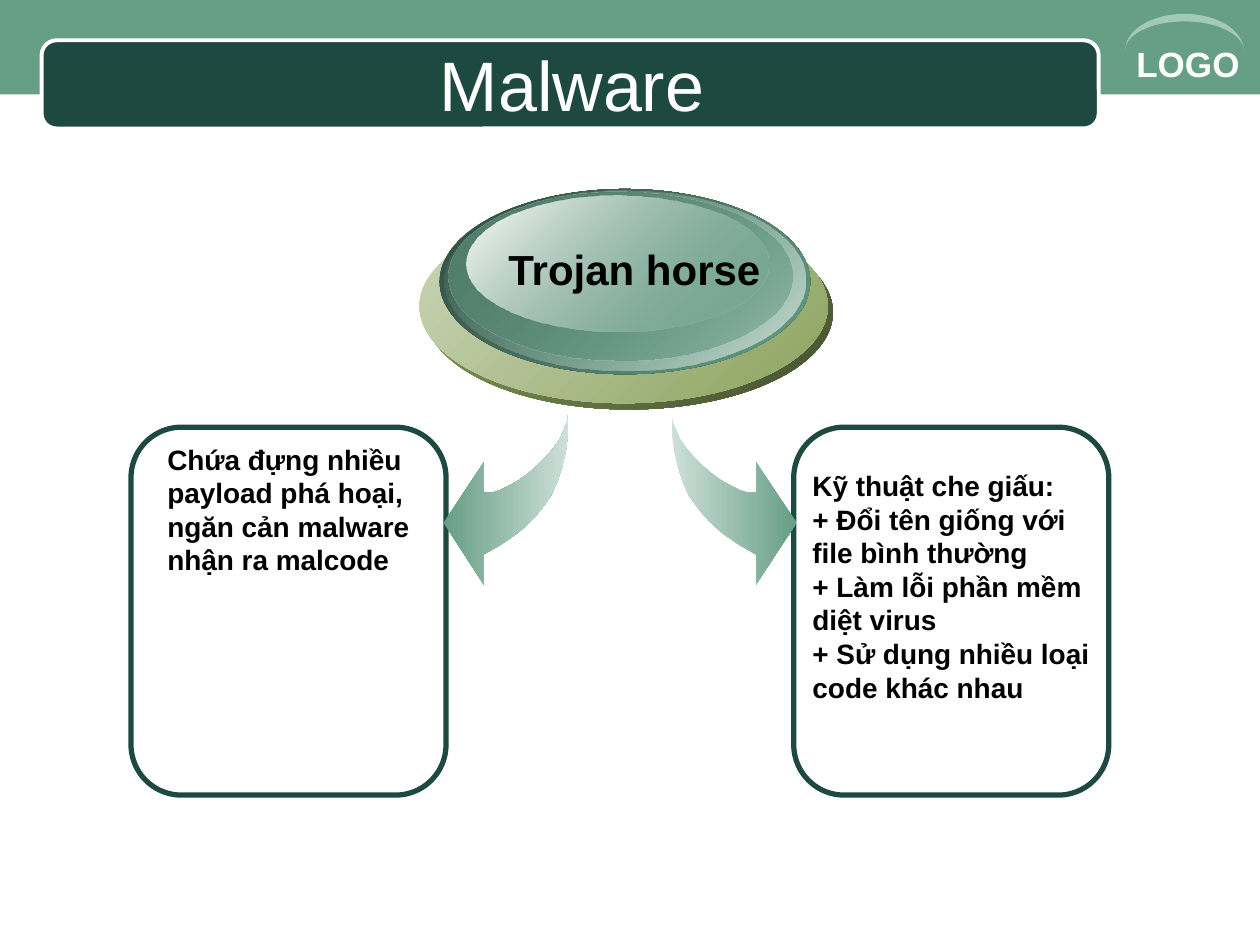
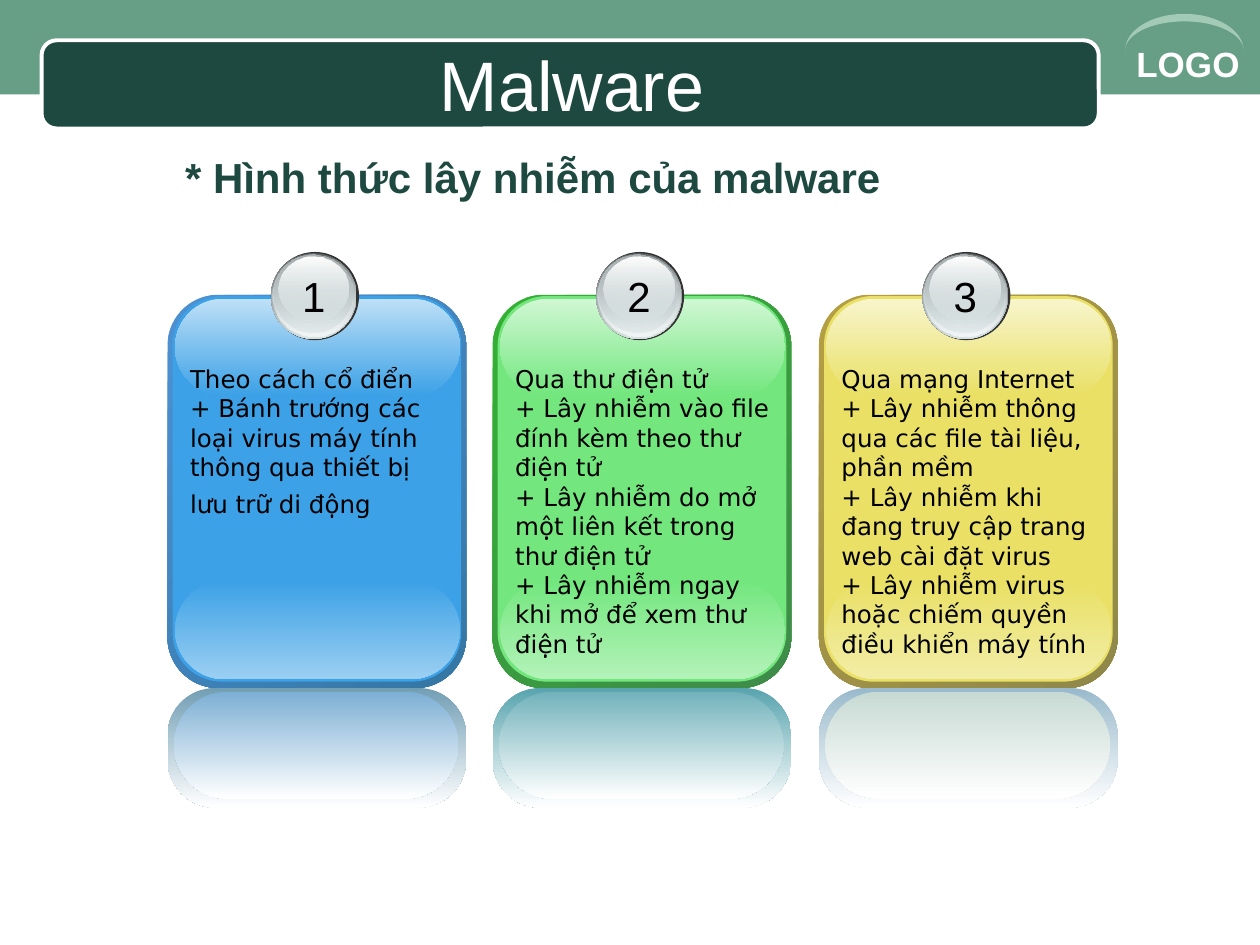
from dataclasses import dataclass
from math import cos, pi, sin

from lxml import etree
from pptx import Presentation
from pptx import util as u
from pptx.dml.color import RGBColor
from pptx.enum import shapes, text
from pptx.oxml import ns

EMU_PER_PX = 9144
RECT = shapes.MSO_SHAPE.RECTANGLE
ROUND = shapes.MSO_SHAPE.ROUNDED_RECTANGLE
OVAL = shapes.MSO_SHAPE.OVAL
LEFT, CENTER = text.PP_ALIGN.LEFT, text.PP_ALIGN.CENTER


@dataclass(frozen=True)
class Theme:
    font: str = "Arial"
    card_font: str = "DejaVu Sans"
    black: str = "000000"
    white: str = "FFFFFF"
    green: str = "669E86"
    dark: str = "1D4940"
    arc: str = "A2CAB4"
    mist: str = "CEE0D9"
    olive: str = "8CA35F"
    silver: str = "D6E1E2"
    rim: str = "333333"
    title: int = 40
    heading: int = 24
    logo: int = 20
    last_line: int = 18
    body: int = 16
    card: int = 14


@dataclass(frozen=True)
class CardColors:
    edge: tuple
    body: str
    bottom: str
    top: str
    reflection: str
    inner_reflection: str


T = Theme()
BLUE = CardColors(("4E91D4", "3477A4"), "3CA1E6", "9BCFF2", "BEE0F7", "729EB4", "7DAFD4")
LIME = CardColors(("34B034", "3F8B4A"), "73E77E", "B3F2B9", "D0F7D4", "58A4AE", "72B2BB")
YELLOW = CardColors(("B59F43", "8F8849"), "E9E065", "F2EDA6", "F8F5CC", "99BACC", "C8DAD4")

TROJAN_DISC = [
    ((337, 171, 324, 154), (T.olive, "444F2E")),
    ((333, 166, 324, 154), ("CCD6B8", T.olive)),
    ((349, 150, 294, 147), ("2F493E", T.green)),
    ((353, 151, 286, 143), ((T.green, 0), "CADDD5")),
    ((356, 152, 273, 134), ("517D6A", (T.green, 48))),
    ((370, 155, 240, 108), (T.white, (T.green, 38))),
]
BALL = [
    ((82, 200, 70, 70), T.rim),
    ((82, 201, 68, 68), ("636869", T.silver)),
    ((83, 201, 66, 66), ((T.silver, 0), "F1F5F5")),
    ((84, 202, 63, 62), ("AAB2B3", (T.silver, 48))),
    ((88, 204, 56, 50), (T.white, (T.silver, 38))),
]
LEFT_ARROW = [
    (451, 328), (451, 343), (449, 358), (446, 371), (442, 383), (437, 394),
    (429, 405), (421, 414), (411, 423), (398, 432), (384, 440), (384, 464),
    (352, 415), (384, 367), (384, 391), (391, 391), (397, 389), (405, 385),
    (412, 381), (419, 376), (426, 370), (433, 363), (439, 356), (444, 349),
    (447, 342), (450, 335),
]
ARROW_MIRROR = 984
CARDS = [
    (BLUE, ["Theo cách cổ điển",
            "+ Bánh trướng các loại virus máy tính thông qua thiết bị lưu trữ di động"]),
    (LIME, ["Qua thư điện tử",
            "+ Lây nhiễm vào file đính kèm theo thư điện tử",
            "+ Lây nhiễm do mở một liên kết trong thư điện tử",
            "+ Lây nhiễm ngay khi mở để xem thư điện tử"]),
    (YELLOW, ["Qua mạng Internet",
              "+ Lây nhiễm thông qua các file tài liệu, phần mềm",
              "+ Lây nhiễm khi đang truy cập trang web cài đặt virus",
              "+ Lây nhiễm virus hoặc chiếm quyền điều khiển máy tính"]),
]


def px(n):
    return u.Emu(round(n * EMU_PER_PX))


def rgb(color):
    return RGBColor.from_string(color)


def paint(sp, fill=None, angle=0, line=None, width=0):
    sp.shadow.inherit = False
    if fill is None:
        sp.fill.background()
    elif isinstance(fill, str):
        sp.fill.solid()
        sp.fill.fore_color.rgb = rgb(fill)
    else:
        sp.fill.gradient()
        sp.fill.gradient_angle = -angle % 360
        stops = [f if isinstance(f, tuple) else (f, 100) for f in fill]
        for stop, (color, _) in zip(sp.fill.gradient_stops, stops):
            stop.color.rgb = rgb(color)
        nodes = sp._element.spPr.iter(ns.qn("a:srgbClr"))
        for node, (_, alpha) in zip(nodes, stops):
            if alpha < 100:
                etree.SubElement(node, ns.qn("a:alpha"), val=str(alpha * 1000))
    if line:
        sp.line.color.rgb = rgb(line)
        sp.line.width = u.Pt(width)
    else:
        sp.line.fill.background()


def add_preset(s, kind, box, fill=None, angle=0, corner=None, line=None, width=0):
    sp = s.shapes.add_shape(kind, *map(px, box))
    if corner is not None:
        sp.adjustments[0] = corner
    paint(sp, fill, angle, line, width)


def add_outline(s, points, fill, angle=0):
    start, *rest = [(px(x), px(y)) for x, y in points]
    builder = s.shapes.build_freeform(*start, scale=1.0)
    builder.add_line_segments(rest, close=True)
    paint(builder.convert_to_shape(), fill, angle)


def add_text(s, box, lines, size, color=T.black, bold=False, font=T.font,
             align=LEFT, wrap=True, anchor=text.MSO_ANCHOR.TOP):
    tf = s.shapes.add_textbox(*map(px, box)).text_frame
    tf.word_wrap = wrap
    tf.vertical_anchor = anchor
    tf.text = "\n".join(lines)
    for p in tf.paragraphs:
        p.alignment = align
        p.font.name = font
        p.font.size = u.Pt(size)
        p.font.bold = bold
        p.font.color.rgb = rgb(color)
    return tf


def add_arc(s):
    steps = [pi * i / 32 for i in range(33)]
    outer = [(940 + 47 * cos(t), 40 - 29 * sin(t)) for t in steps]
    inner = [(940 + 47 * cos(t), 40 - 23 * sin(t)) for t in reversed(steps)]
    add_outline(s, outer + inner[1:-1], T.arc)


def add_slide(prs, title):
    s = prs.slides.add_slide(prs.slide_layouts[6])
    add_preset(s, RECT, (0, 0, 1000, 75), T.green)
    add_preset(s, ROUND, (33, 32, 839, 70), T.dark, corner=0.17, line=T.white, width=2.25)
    add_text(s, (892, 29, 108, 44), ["LOGO"], T.logo, T.white, bold=True)
    add_arc(s)
    add_text(s, (50, 35, 808, 62), [title], T.title, T.white,
             align=CENTER, anchor=text.MSO_ANCHOR.MIDDLE)
    return s


def add_card(s, x, number, colors, lines):
    add_preset(s, ROUND, (x, 234, 237, 312), colors.edge, 45, 0.17)
    add_preset(s, ROUND, (x + 4, 235, 229, 306), colors.body, corner=0.17)
    add_preset(s, ROUND, (x + 6, 461, 226, 78), (colors.body, colors.bottom), 90, 0.5)
    add_preset(s, ROUND, (x + 6, 237, 226, 77), (colors.top, colors.body), 90, 0.5)
    add_preset(s, ROUND, (x, 546, 237, 95), (colors.reflection, T.white), 90, 0.4)
    add_preset(s, ROUND, (x + 5, 549, 226, 85), (colors.inner_reflection, T.white), 90, 0.5)
    for (dx, *rest), fill in BALL:
        add_preset(s, OVAL, (x + dx, *rest), fill, 90)
    add_text(s, (x + 97, 210, 38, 50), [str(number)], T.heading, align=CENTER, wrap=False)
    return add_text(s, (x + 8, 284, 225, 244), lines, T.card, font=T.card_font)


def build_trojan(prs):
    s = add_slide(prs, "Malware")
    for x in (104, 630):
        add_preset(s, ROUND, (x, 339, 250, 292), corner=0.16, line=T.dark, width=3)
    add_text(s, (123, 346, 253, 144),
             ["Chứa đựng nhiều payload phá hoại, ngăn cản malware nhận ra malcode"],
             T.body, bold=True)
    add_outline(s, LEFT_ARROW, (T.green, T.mist))
    add_outline(s, [(ARROW_MIRROR - x, y) for x, y in LEFT_ARROW], (T.mist, T.green))
    for box, fill in TROJAN_DISC:
        add_preset(s, OVAL, box, fill, 45)
    add_text(s, (367, 188, 273, 50), ["Trojan horse"], T.heading, bold=True, align=CENTER)
    add_text(s, (635, 367, 256, 250),
             ["Kỹ thuật che giấu:",
              "+ Đổi tên giống với file bình thường",
              "+ Làm lỗi phần mềm diệt virus",
              "+ Sử dụng nhiều loại code khác nhau"],
             T.body, bold=True)


def build_infection(prs):
    s = add_slide(prs, "Malware")
    frames = [add_card(s, 133 + i * 517 // 2, i + 1, colors, lines)
              for i, (colors, lines) in enumerate(CARDS)]
    r = frames[0].paragraphs[-1].add_run()
    r.text = " "
    r.font.size = u.Pt(T.last_line)
    add_text(s, (137, 115, 572, 50), ["* Hình thức lây nhiễm của malware"],
             T.heading, T.dark, bold=True, wrap=False)


def main():
    prs = Presentation()
    prs.slide_width, prs.slide_height = px(1000), px(750)
    build_trojan(prs)
    build_infection(prs)
    prs.save("out.pptx")


if __name__ == "__main__":
    main()
